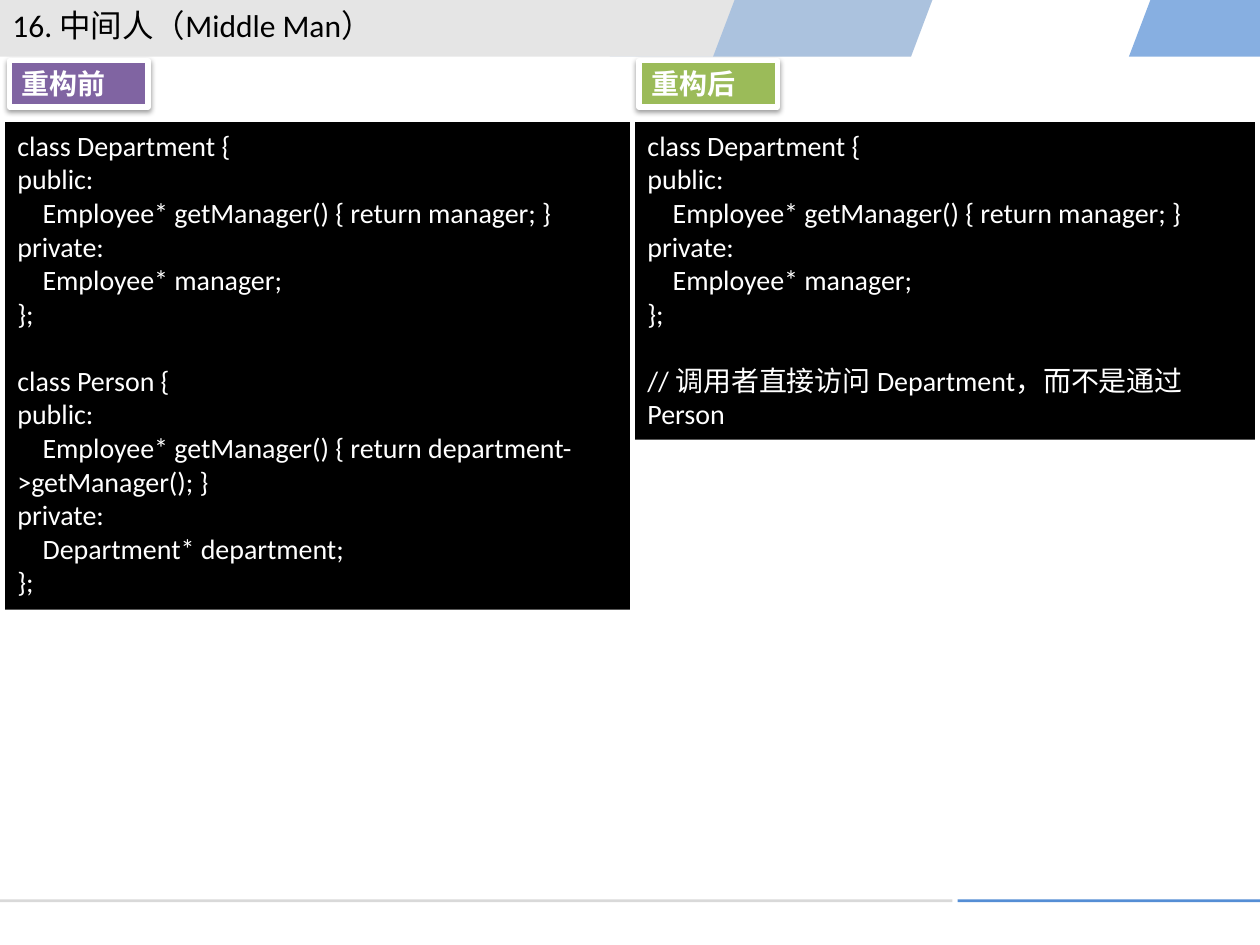
from lxml import etree
from pptx import Presentation
from pptx.dml.color import RGBColor
from pptx.enum.shapes import MSO_SHAPE
from pptx.enum.text import MSO_ANCHOR, MSO_AUTO_SIZE, PP_ALIGN
from pptx.oxml.ns import qn
from pptx.util import Pt

RECT = MSO_SHAPE.RECTANGLE
TOP = MSO_ANCHOR.TOP
GROW = MSO_AUTO_SIZE.SHAPE_TO_FIT_TEXT
LEFT = PP_ALIGN.LEFT
COLORS = {
    "blue": "558ED5", "silver": "BFBFBF", "rule": "D9D9D9",
    "black": "000000", "white": "FFFFFF",
    "purple": "8064A2", "green": "9BBB59",
}
DEPARTMENT = """class Department {
public:
    Employee* getManager() { return manager; }
private:
    Employee* manager;
};"""
PERSON = """class Person {
public:
    Employee* getManager() { return department->getManager(); }
private:
    Department* department;
};"""
NOTE = "// 调用者直接访问 Department，而不是通过 Person"


def add_rect(x, y, w, h, color):
    sp = s.shapes.add_shape(RECT, Pt(x), Pt(y), Pt(w), Pt(h))
    sp.shadow.inherit = False
    sp.fill.solid()
    sp.fill.fore_color.rgb = RGBColor.from_string(COLORS[color])
    sp.line.fill.background()
    return sp


def write(sp, blocks, size, color, bold=False):
    tf = sp.text_frame
    tf.word_wrap = True
    tf.auto_size = GROW
    tf.vertical_anchor = TOP
    tf.text = "\n".join(blocks)
    for p in tf.paragraphs:
        p.alignment = LEFT
        p.font.name = "Calibri"
        p.font.size = Pt(size)
        p.font.bold = bold
        p.font.color.rgb = RGBColor.from_string(COLORS[color])
    if len(blocks) > 1:
        tf.paragraphs[blocks[0].count("\n") + 1].space_before = Pt(19.2)


prs = Presentation()
prs.slide_width, prs.slide_height = Pt(720), Pt(540)
s = prs.slides.add_slide(prs.slide_layouts[6])

bands = [
    ("blue", 70, [(657.4, 0), (720, 0), (720, 32.4), (645.1, 32.4)]),
    ("silver", 40, [(0, 0), (532.8, 0), (520.6, 32.4), (0, 32.4)]),
    ("blue", 40, [(419.8, 0), (532.8, 0), (520.6, 32.4), (348.5, 32.4), (407.5, 32.4)]),
]
for color, opacity, points in bands:
    corners = [(Pt(x), Pt(y)) for x, y in points]
    builder = s.shapes.build_freeform(*corners[0], scale=1.0)
    builder.add_line_segments(corners[1:], close=True)
    sp = builder.convert_to_shape()
    sp.shadow.inherit = False
    sp.line.fill.background()
    sp.fill.solid()
    sp.fill.fore_color.rgb = RGBColor.from_string(COLORS[color])
    srgb = sp.fill._xPr.find(".//" + qn("a:srgbClr"))
    etree.SubElement(srgb, qn("a:alpha"), val=str(opacity * 1000))

add_rect(0, 514, 544.3, 1.6, "rule")
add_rect(547.2, 514, 172.8, 1.6, "blue")

title = s.shapes.add_textbox(0, 0, Pt(275), Pt(29))
write(title, ["16. 中间人（Middle Man）"], 18, "black")

panels = [
    (2.9, 357.1, 278.6, [DEPARTMENT, PERSON]),
    (362.9, 354.2, 181.4, [DEPARTMENT, NOTE]),
]
for x, w, h, blocks in panels:
    write(add_rect(x, 69.8, w, h, "black"), blocks, 16, "white")

for x, color, label in [(5.5, "purple", "重构前"), (365.2, "green", "重构后")]:
    sp = add_rect(x, 34.6, 79.2, 26.6, color)
    sp.line.color.rgb = RGBColor.from_string(COLORS["white"])
    sp.line.width = Pt(3)
    effects = sp._element.spPr.find(qn("a:effectLst"))
    shadow = etree.SubElement(effects, qn("a:outerShdw"), blurRad=str(Pt(3.1)),
                              dist=str(Pt(1.6)), dir="5400000", rotWithShape="0")
    srgb = etree.SubElement(shadow, qn("a:srgbClr"), val=COLORS["black"])
    etree.SubElement(srgb, qn("a:alpha"), val="38000")
    write(sp, [label], 16, "white", bold=True)

prs.save("out.pptx")
